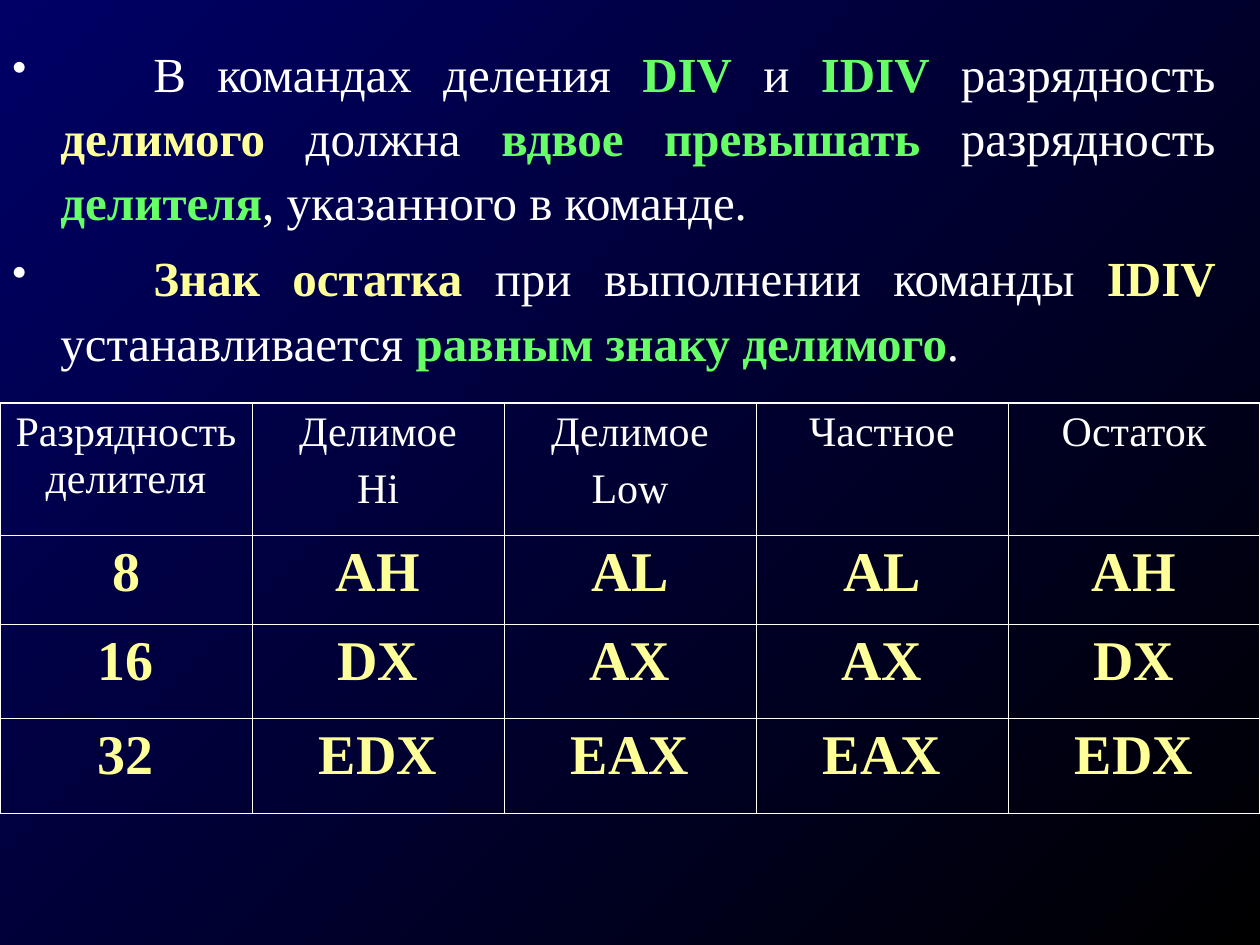
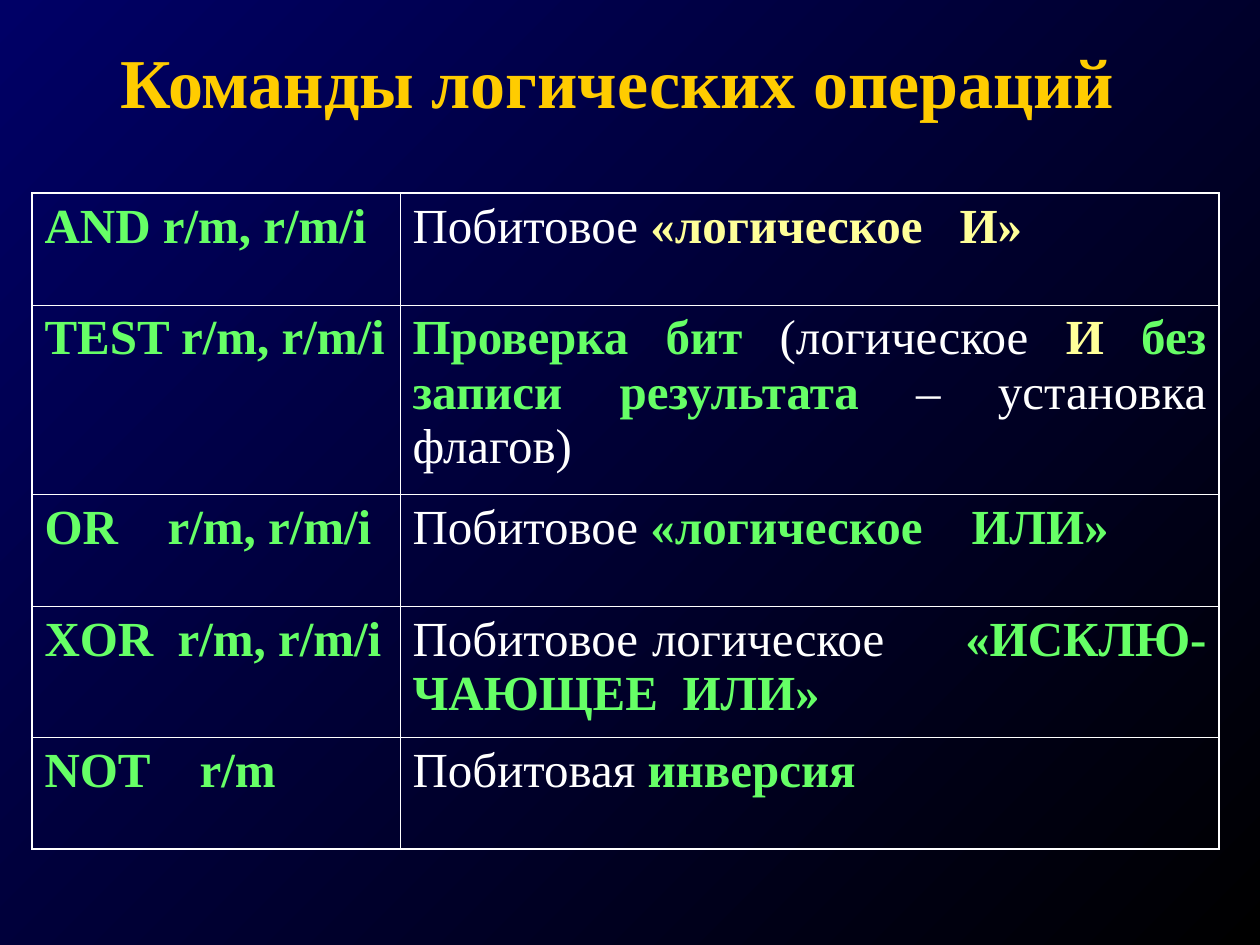
from lxml import etree
from pptx import Presentation
from pptx import util as u
from pptx.dml.color import RGBColor
from pptx.enum import text as t
from pptx.oxml.ns import qn

PX = 914400 / 126
FONT = "Times New Roman"
COLORS = {
    "white": "FFFFFF",
    "green": "66FF66",
    "yellow": "FFFF99",
    "title": "FFCC00",
    "bg_start": "000066",
    "bg_end": "000000",
}
OUTER, INNER = 1.08, 0.45  # border widths in points


def px(n):
    return u.Emu(round(n * PX))


def rgb(name):
    return RGBColor.from_string(COLORS[name])


def add_sub(parent, tag, **attrs):
    return etree.SubElement(parent, qn(tag), {k: str(v) for k, v in attrs.items()})


def add_text(tf, paragraphs, size=28, align=t.PP_ALIGN.JUSTIFY, before=0,
             spacing=None, bullet=False, indent=0, tabs=()):
    """Each paragraph is a list of (text, colour name); every colour but white is bold."""
    tf.word_wrap = True
    for i, runs in enumerate(paragraphs):
        p = tf.paragraphs[0] if i == 0 else tf.add_paragraph()
        p.alignment, p.space_before = align, u.Pt(before)
        if spacing:
            p.line_spacing = spacing
        p_pr = p._p.get_or_add_pPr()
        if bullet:
            p_pr.set("marL", str(px(indent)))
            p_pr.set("indent", str(-px(indent)))
            add_sub(add_sub(p_pr, "a:buClr"), "a:srgbClr", val=COLORS["white"])
            add_sub(p_pr, "a:buSzPct", val=85000)
            add_sub(p_pr, "a:buChar", char="•")
        if tabs:
            tab_list = add_sub(p_pr, "a:tabLst")
            for stop in tabs:
                add_sub(tab_list, "a:tab", pos=px(stop), algn="l")
        for words, color in runs:
            r = p.add_run()
            r.text = words
            r.font.name, r.font.size = FONT, u.Pt(size)
            r.font.bold = color != "white"
            r.font.color.rgb = rgb(color)


def add_slide(prs):
    slide = prs.slides.add_slide(prs.slide_layouts[6])
    fill = slide.background.fill
    fill.gradient()
    fill.gradient_angle = 315
    for stop, name in zip(fill.gradient_stops, ("bg_start", "bg_end")):
        stop.color.rgb = rgb(name)
    return slide


def add_box(slide, box):
    return slide.shapes.add_textbox(*map(px, box)).text_frame


def set_borders(cell, **widths):
    """Draw the four sides; a width of 0 hides the side."""
    tc_pr = cell._tc.get_or_add_tcPr()
    for i, side in enumerate("LRTB"):
        width = widths[side]
        ln = etree.Element(qn(f"a:ln{side}"), w=str(u.Pt(width)))
        if width:
            add_sub(add_sub(ln, "a:solidFill"), "a:srgbClr", val=COLORS["white"])
        else:
            add_sub(ln, "a:noFill")
        tc_pr.insert(i, ln)


def add_grid(slide, left, top, cols, rows, filled):
    """Add a clear table with a frame round its first `filled` rows."""
    table = slide.shapes.add_table(len(rows), len(cols), px(left), px(top),
                                   px(sum(cols)), px(sum(rows))).table
    table.first_row = table.horz_banding = False
    for col, width in zip(table.columns, cols):
        col.width = px(width)
    for row, height in zip(table.rows, rows):
        row.height = px(height)
    for i in range(len(rows)):
        for j in range(len(cols)):
            cell = table.cell(i, j)
            cell.fill.background()
            if i >= filled:
                set_borders(cell, L=0, R=0, T=INNER if i == filled else 0, B=0)
                continue
            set_borders(cell,
                        L=INNER if j else OUTER,
                        R=OUTER if j == len(cols) - 1 else INNER,
                        T=INNER if i else OUTER,
                        B=OUTER if i == len(rows) - 1 else INNER)
    return table


# Slide 1: division rules and the registers they use
DIVISION_RULES = [
    [("\tВ командах деления ", "white"), ("DIV", "green"), (" и ", "white"),
     ("IDIV", "green"), (" разрядность ", "white"), ("делимого", "yellow"),
     (" должна ", "white"), ("вдвое превышать", "green"), (" разрядность ", "white"),
     ("делителя", "green"), (", указанного в команде.", "white")],
    [("\t", "white"), ("Знак остатка", "yellow"), (" при выполнении команды ", "white"),
     ("IDIV", "yellow"), (" устанавливается ", "white"),
     ("равным знаку делимого", "green"), (".", "white")],
]
REGISTER_HEADS = [["Разрядность делителя"], ["Делимое", "Hi"], ["Делимое", "Low"],
                  ["Частное"], ["Остаток"]]
REGISTERS = [
    ["8", "AH", "AL", "AL", "AH"],
    ["16", "DX", "AX", "AX", "DX"],
    ["32", "EDX", "EAX", "EAX", "EDX"],
]


def register_table(slide, left, top):
    table = add_grid(slide, left, top, [252] * 5, [132, 89, 94, 95, 132], filled=4)
    for j, lines in enumerate(REGISTER_HEADS):
        add_text(table.cell(0, j).text_frame, [[(line, "white")] for line in lines],
                 size=24, align=t.PP_ALIGN.CENTER, before=6)
    for i, names in enumerate(REGISTERS, 1):
        for j, name in enumerate(names):
            add_text(table.cell(i, j).text_frame, [[(name, "yellow")]],
                     size=32, align=t.PP_ALIGN.CENTER, before=8)


def division_slide(prs):
    slide = add_slide(prs)
    add_text(add_box(slide, (0, 32, 1228, 336)), DIVISION_RULES, before=7,
             spacing=1.09, bullet=True, indent=48, tabs=[141])
    register_table(slide, 0, 403)


# Slide 2: each row is (command, its tab stops, meaning, its tab stops)
LOGIC_COMMANDS = [
    ("AND r/m, r/m/i", [],
     [("Побитовое ", "white"), ("«логическое\tИ»", "yellow")], [547]),
    ("TEST r/m, r/m/i", [],
     [("Проверка бит", "green"), (" (логическое ", "white"), ("И ", "yellow"),
      ("без записи результата", "green"), (" – установка флагов)", "white")], []),
    ("OR\tr/m, r/m/i", [123],
     [("Побитовое ", "white"), ("«логическое\tИЛИ»", "green")], [559]),
    ("XOR\tr/m, r/m/i", [133],
     [("Побитовое логическое\t", "white"), ("«ИСКЛЮ-ЧАЮЩЕЕ\tИЛИ»", "green")],
     [270, 551]),
    ("NOT\tr/m", [155],
     [("Побитовая ", "white"), ("инверсия", "green")], []),
]


def title(slide, box, words):
    tf = add_box(slide, box)
    tf.vertical_anchor = t.MSO_ANCHOR.MIDDLE
    tf.margin_top, tf.margin_right = px(20), px(36)
    add_text(tf, [[(words, "title")]], size=40, align=t.PP_ALIGN.CENTER)


def logic_table(slide, left, top):
    table = add_grid(slide, left, top, [368, 819], [112, 189, 112, 131, 112], filled=5)
    for i, (command, command_tabs, meaning, meaning_tabs) in enumerate(LOGIC_COMMANDS):
        add_text(table.cell(i, 0).text_frame, [[(command, "green")]],
                 before=7, tabs=command_tabs)
        add_text(table.cell(i, 1).text_frame, [meaning], before=7, tabs=meaning_tabs)


def logic_slide(prs):
    slide = add_slide(prs)
    title(slide, (94, 21, 1071, 105), "Команды логических операций")
    logic_table(slide, 32, 193)


def main():
    prs = Presentation()
    prs.slide_width, prs.slide_height = px(1260), px(945)
    division_slide(prs)
    logic_slide(prs)
    prs.save("out.pptx")


if __name__ == "__main__":
    main()
